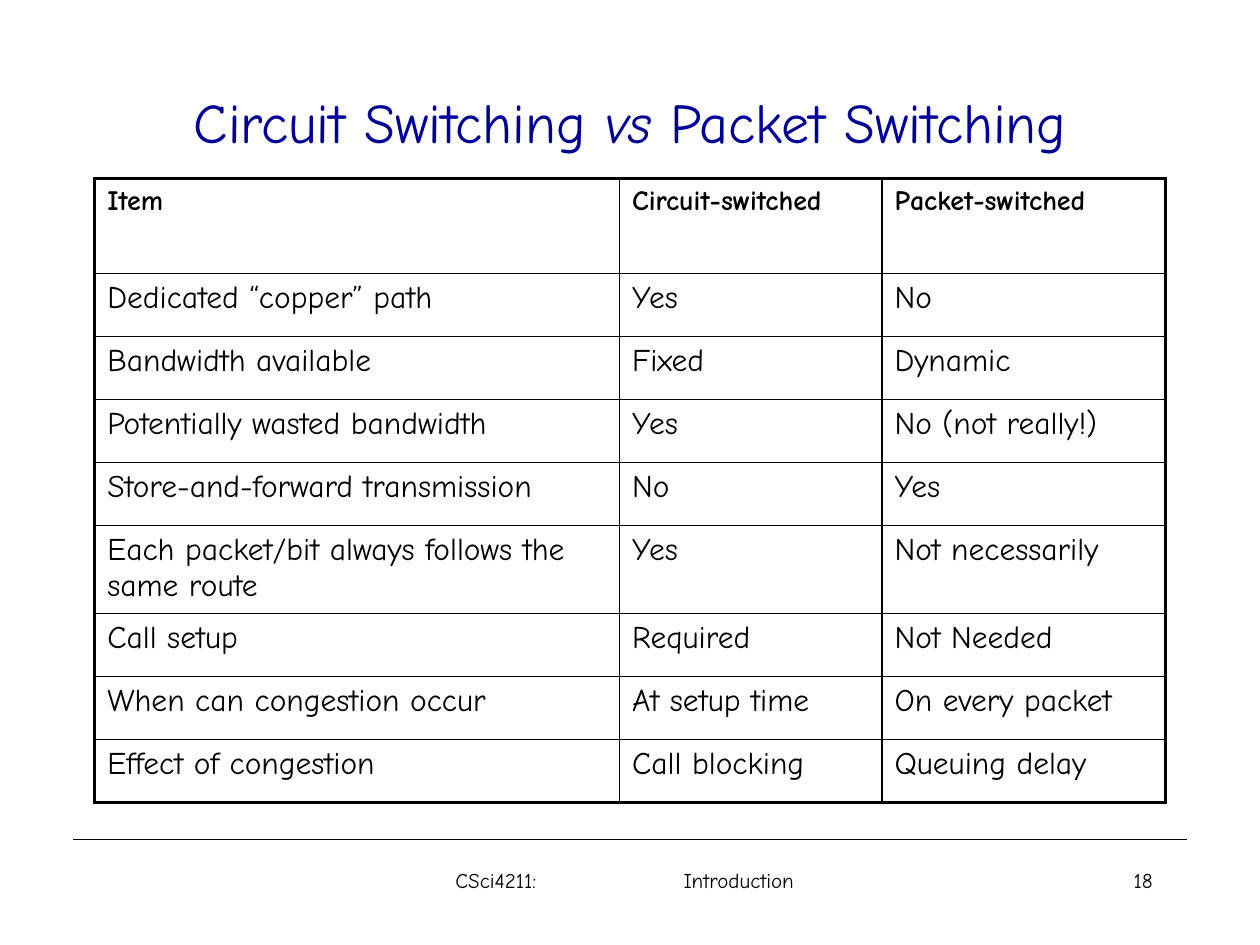
from dataclasses import dataclass

from lxml import etree
from pptx import Presentation
from pptx.dml.color import RGBColor
from pptx.enum.shapes import MSO_CONNECTOR
from pptx.enum.text import MSO_ANCHOR, PP_ALIGN
from pptx.oxml.ns import qn
from pptx.util import Cm, Pt

STRAIGHT = MSO_CONNECTOR.STRAIGHT
TOP, MIDDLE = MSO_ANCHOR.TOP, MSO_ANCHOR.MIDDLE
LEFT, CENTER, RIGHT = PP_ALIGN.LEFT, PP_ALIGN.CENTER, PP_ALIGN.RIGHT


@dataclass(frozen=True)
class Theme:
    font: str = "Comic Neue"
    ink: str = "000000"
    title: str = "000099"
    title_size: int = 32
    head_size: int = 16
    body_size: int = 18
    foot_size: int = 12
    outer_line: float = 2.25
    inner_line: float = 1


T = Theme()


def add_run(p, text, size, color=T.ink, bold=False, italic=False):
    r = p.add_run()
    r.text = text
    r.font.name, r.font.size = T.font, Pt(size)
    r.font.bold, r.font.italic = bold, italic
    r.font.color.rgb = RGBColor.from_string(color)


def add_text(s, box, runs, size, color, align, anchor):
    tf = s.shapes.add_textbox(*map(Cm, box)).text_frame
    tf.word_wrap = True
    tf.vertical_anchor = anchor
    p = tf.paragraphs[0]
    p.alignment = align
    for text, italic in runs:
        add_run(p, text, size, color, italic=italic)
    return tf


prs = Presentation()
prs.slide_width, prs.slide_height = Cm(25.4), Cm(19.05)
s = prs.slides.add_slide(prs.slide_layouts[6])

# Footer rule
rule = s.shapes.add_connector(STRAIGHT, Cm(1.48), Cm(16.93), Cm(23.92), Cm(16.93))
rule.line.color.rgb = RGBColor.from_string(T.ink)
rule.line.width = Pt(0.75)
etree.SubElement(rule._element.spPr, qn("a:effectLst"))

# Footer: course and chapter separated by a tab stop, then the slide number
tf = add_text(s, (8.47, 17.36, 8.25, 1.27), [("CSci4211:\tIntroduction", False)],
              T.foot_size, T.ink, LEFT, TOP)
tf.margin_left = Cm(0.71)
tabs = etree.SubElement(tf.paragraphs[0]._p.get_or_add_pPr(), qn("a:tabLst"))
etree.SubElement(tabs, qn("a:tab"), pos=str(Cm(4.6)), algn="l")
add_text(s, (18.2, 17.36, 5.29, 1.27), [("18", False)],
         T.foot_size, T.ink, RIGHT, TOP)

# Title
title = [("Circuit Switching ", False), ("vs", True), (" Packet Switching", False)]
add_text(s, (1.91, 0.85, 21.59, 3.18), title, T.title_size, T.title, CENTER, MIDDLE)

# Comparison table
rows = [
    ("Item", "Circuit-switched", "Packet-switched"),
    ("Dedicated “copper” path", "Yes", "No"),
    ("Bandwidth available", "Fixed", "Dynamic"),
    ("Potentially wasted bandwidth", "Yes", "No (not really!)"),
    ("Store-and-forward transmission", "No", "Yes"),
    ("Each packet/bit always follows the same route", "Yes", "Not necessarily"),
    ("Call setup", "Required", "Not Needed"),
    ("When can congestion occur", "At setup time", "On every packet"),
    ("Effect of congestion", "Call blocking", "Queuing delay"),
]
widths = [10.58, 5.29, 5.72]
heights = [1.91] + [1.27] * 4 + [1.78] + [1.27] * 3
table = s.shapes.add_table(len(rows), len(widths), Cm(1.91), Cm(3.6),
                           Cm(sum(widths)), Cm(sum(heights))).table
table.first_row = table.horz_banding = False
for column, width in zip(table.columns, widths):
    column.width = Cm(width)
for row, height in zip(table.rows, heights):
    row.height = Cm(height)

last_row, last_col = len(rows) - 1, len(widths) - 1
for i, row in enumerate(rows):
    for j, text in enumerate(row):
        cell = table.cell(i, j)
        head = i == 0
        add_run(cell.text_frame.paragraphs[0], text,
                T.head_size if head else T.body_size, bold=head)

        # Heavy lines on the outer edge, thin lines inside
        tcPr = cell._tc.get_or_add_tcPr()
        edges = {"lnL": j == 0, "lnR": j == last_col,
                 "lnT": i == 0, "lnB": i == last_row}
        for side, outer in edges.items():
            width = Pt(T.outer_line if outer else T.inner_line)
            ln = etree.SubElement(tcPr, qn("a:" + side), w=str(width))
            fill = etree.SubElement(ln, qn("a:solidFill"))
            etree.SubElement(fill, qn("a:srgbClr"), val=T.ink)
        cell.fill.background()

prs.save("out.pptx")
